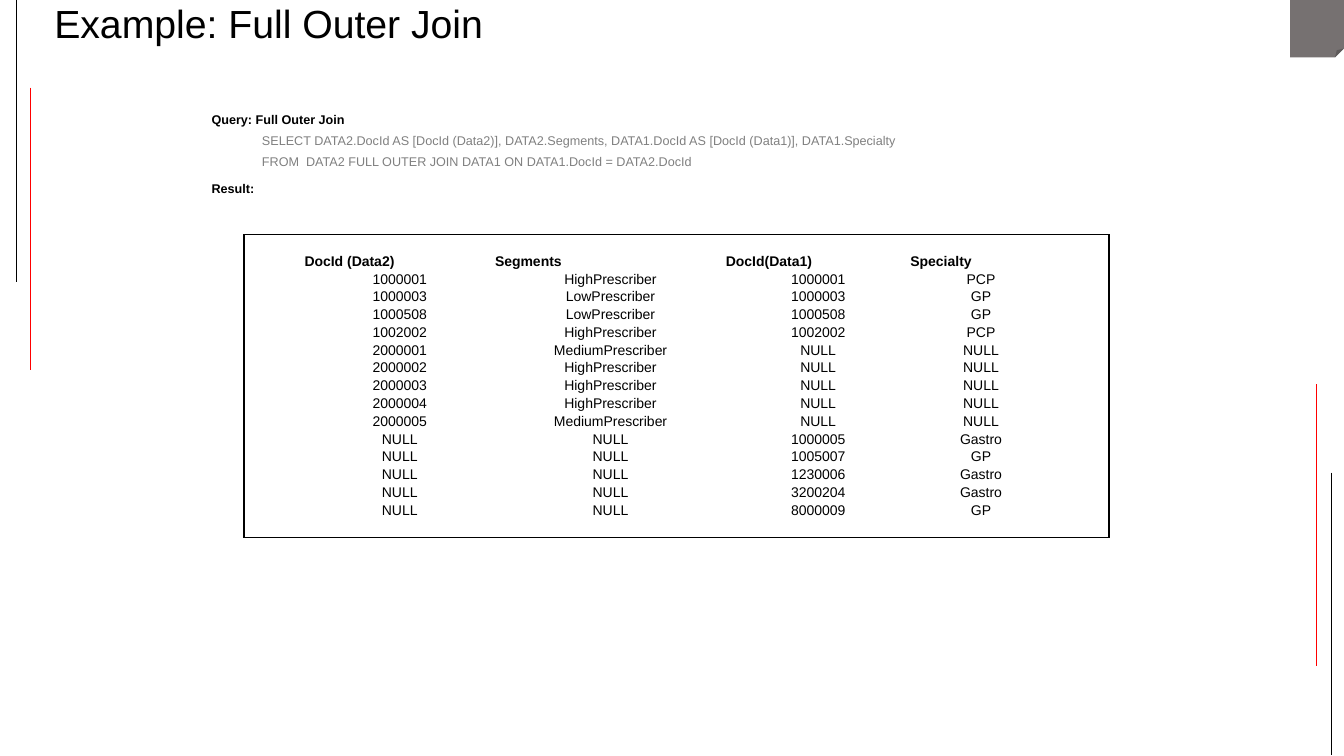
from lxml.etree import SubElement
from pptx import Presentation
from pptx.dml.color import RGBColor
from pptx.enum.shapes import MSO_CONNECTOR, MSO_SHAPE
from pptx.enum.text import MSO_ANCHOR, PP_ALIGN
from pptx.oxml.ns import qn
from pptx.util import Inches, Pt

WIDTH, HEIGHT = 13.33, 7.5
BLACK, WHITE, RED, GRAY, CORNER_GRAY = "000000", "FFFFFF", "FF0000", "808080", "767171"
RULE_LENGTH = 2.8
COLUMN_WIDTHS = [0.6, 1.89, 2.29, 1.83, 1.4, 0.57]
TABLE_HEIGHT = 3
HEADER = ["DocId (Data2)", "Segments", "DocId(Data1)", "Specialty"]
JOINED_ROWS = [
    ["1000001", "HighPrescriber", "1000001", "PCP"],
    ["1000003", "LowPrescriber", "1000003", "GP"],
    ["1000508", "LowPrescriber", "1000508", "GP"],
    ["1002002", "HighPrescriber", "1002002", "PCP"],
    ["2000001", "MediumPrescriber", "NULL", "NULL"],
    ["2000002", "HighPrescriber", "NULL", "NULL"],
    ["2000003", "HighPrescriber", "NULL", "NULL"],
    ["2000004", "HighPrescriber", "NULL", "NULL"],
    ["2000005", "MediumPrescriber", "NULL", "NULL"],
    ["NULL", "NULL", "1000005", "Gastro"],
    ["NULL", "NULL", "1005007", "GP"],
    ["NULL", "NULL", "1230006", "Gastro"],
    ["NULL", "NULL", "3200204", "Gastro"],
    ["NULL", "NULL", "8000009", "GP"],
]
QUERY_LINES = [
    ("Query: Full Outer Join", True),
    ("SELECT DATA2.DocId AS [DocId (Data2)], DATA2.Segments, "
     "DATA1.DocId AS [DocId (Data1)], DATA1.Specialty", False),
    ("FROM  DATA2 FULL OUTER JOIN DATA1 ON DATA1.DocId = DATA2.DocId", False),
    ("Result:", True),
]


def color(value):
    """Turn a hex string into a colour."""
    return RGBColor.from_string(value)


def style_font(font, size, hex_color=BLACK, bold=False):
    """Set the typeface, size, colour and weight of a font."""
    font.name, font.size, font.bold = "Arial", Pt(size), bold
    font.color.rgb = color(hex_color)


def set_indent(paragraph, margin, hanging):
    """Give a paragraph a left margin and a hanging first line."""
    properties = paragraph._p.get_or_add_pPr()
    properties.set("marL", str(Inches(margin)))
    properties.set("indent", str(-Inches(hanging)))


def add_corner(slide):
    """Place the folded corner at the top right."""
    width = WIDTH * 0.04
    shape = slide.shapes.add_shape(
        MSO_SHAPE.FOLDED_CORNER, Inches(WIDTH - width), 0, Inches(width), Inches(0.57))
    shape.shadow.inherit = False
    shape.fill.solid()
    shape.fill.fore_color.rgb = color(CORNER_GRAY)
    shape.line.fill.background()


def add_rule(slide, x, top, hex_color):
    """Draw one vertical edge rule."""
    rule = slide.shapes.add_connector(
        MSO_CONNECTOR.STRAIGHT, Inches(x), Inches(top), Inches(x), Inches(top + RULE_LENGTH))
    rule.line.color.rgb = color(hex_color)
    rule.line.width = Pt(0.5)
    SubElement(rule._element.spPr, qn("a:effectLst"))


def add_text(slide, left, top, width, height, lines):
    """Add a wrapped text box and return its paragraphs."""
    box = slide.shapes.add_textbox(Inches(left), Inches(top), Inches(width), Inches(height))
    frame = box.text_frame
    frame.word_wrap = True
    frame.text = "\n".join(lines)
    for paragraph in frame.paragraphs:
        paragraph.line_spacing = 0.9
    return frame.paragraphs


def add_query(slide):
    """Add the headings and the indented SQL lines."""
    paragraphs = add_text(slide, 2, 1.08, 9.08, 5.58, [text for text, _ in QUERY_LINES])
    for paragraph, (_, heading) in zip(paragraphs, QUERY_LINES):
        paragraph.space_before = Pt(10 if heading else 5)
        set_indent(paragraph, 0.25 if heading else 0.75, 0.25)
        style_font(paragraph.runs[0].font, 9, BLACK if heading else GRAY, heading)


def set_borders(cell, black_sides):
    """Draw the named sides in black and clear the others."""
    properties = cell._tc.get_or_add_tcPr()
    for side in "LRTB":
        border = SubElement(properties, qn(f"a:ln{side}"), w=str(Pt(1)))
        if side in black_sides:
            fill = SubElement(border, qn("a:solidFill"))
            SubElement(fill, qn("a:srgbClr"), val=BLACK)
        else:
            SubElement(border, qn("a:noFill"))


def fill_cell(cell, text, heading):
    """Set the text, margins and white fill of a cell."""
    cell.margin_left = cell.margin_right = cell.margin_top = cell.margin_bottom = 0
    cell.vertical_anchor = MSO_ANCHOR.MIDDLE
    cell.fill.solid()
    cell.fill.fore_color.rgb = color(WHITE)
    cell.text_frame.text = text
    paragraph = cell.text_frame.paragraphs[0]
    paragraph.alignment = PP_ALIGN.LEFT if heading else PP_ALIGN.CENTER
    set_indent(paragraph, 0.38, 0.38)
    style_font(paragraph.font, 10, BLACK, heading)
    for run in paragraph.runs:
        style_font(run.font, 10, BLACK, heading)


def add_result_table(slide):
    """Add the join result, framed by an empty margin of cells."""
    blank = [""] * len(HEADER)
    rows = [["", *row, ""] for row in [blank, HEADER, *JOINED_ROWS, blank]]
    last_row, last_column = len(rows) - 1, len(COLUMN_WIDTHS) - 1
    table = slide.shapes.add_table(
        len(rows), len(COLUMN_WIDTHS), Inches(2.42), Inches(2.33),
        Inches(sum(COLUMN_WIDTHS)), Inches(TABLE_HEIGHT)).table
    table.first_row = table.horz_banding = False
    for column, width in zip(table.columns, COLUMN_WIDTHS):
        column.width = Inches(width)
    for r, row in enumerate(rows):
        for c, text in enumerate(row):
            edges = {"L": c == 0, "R": c == last_column, "T": r == 0, "B": r == last_row}
            cell = table.cell(r, c)
            set_borders(cell, [side for side, outer in edges.items() if outer])
            fill_cell(cell, text, r == 1)


def main():
    """Build and save the slide."""
    presentation = Presentation()
    presentation.slide_width, presentation.slide_height = Inches(WIDTH), Inches(HEIGHT)
    slide = presentation.slides.add_slide(presentation.slide_layouts[6])
    add_corner(slide)
    for x, top, hex_color in [(0.16, 0, BLACK), (0.3, 0.87, RED),
                              (13.2, 4.69, BLACK), (13.06, 3.81, RED)]:
        add_rule(slide, x, top, hex_color)
    title = add_text(slide, 0.44, 0, 12.38, 1, ["Example: Full Outer Join"])[0]
    style_font(title.runs[0].font, 28)
    add_query(slide)
    add_result_table(slide)
    presentation.save("out.pptx")


if __name__ == "__main__":
    main()
